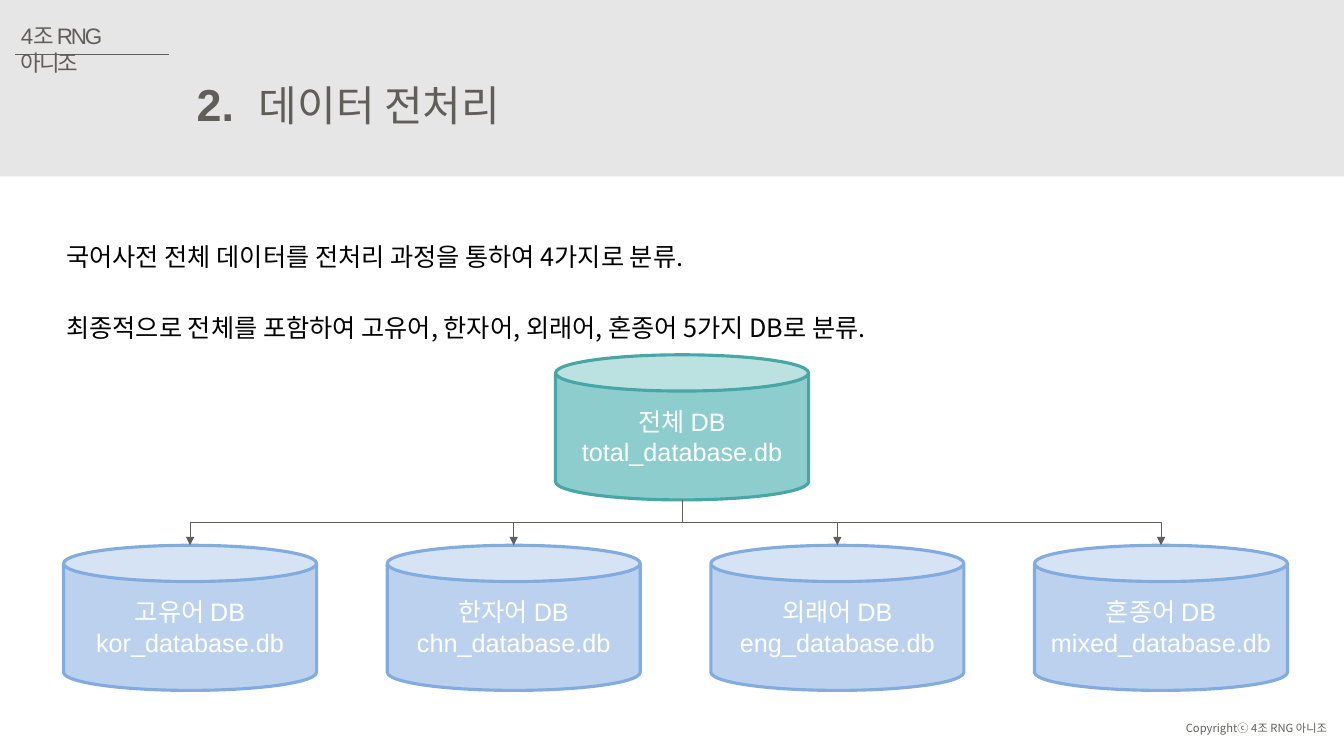
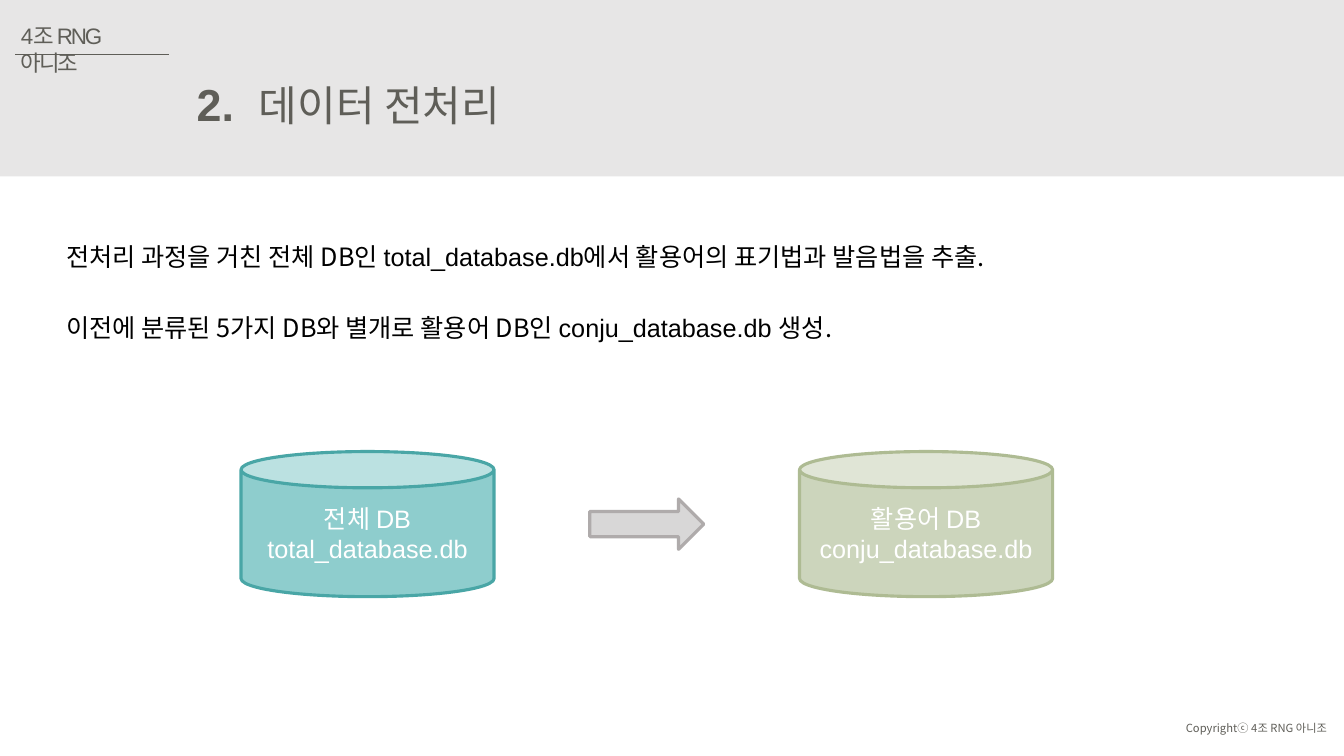
from dataclasses import dataclass

from lxml import etree
from pptx import Presentation
from pptx.dml.color import RGBColor
from pptx.enum import shapes, text
from pptx.oxml import ns
from pptx.util import Inches, Pt


@dataclass(frozen=True)
class Theme:
    sans: str = "Arial"
    korean: str = "Noto Sans CJK KR"
    ink: str = "5F5E58"
    black: str = "000000"
    white: str = "FFFFFF"
    band: str = "E7E6E6"
    # Fill and outline pairs
    teal: tuple = ("8ECDCD", "49A6A6")
    blue: tuple = ("BBD1ED", "82ABDF")
    olive: tuple = ("CCD5BC", "AEBB93")
    grey: tuple = ("D8D7D7", "AFABAB")
    footer_size: float = 8
    team_size: float = 16
    body_size: float = 18
    title_size: float = 30
    number_size: float = 32
    outline: float = 2.25
    hairline: float = 0.5


THEME = Theme()
SLIDE_WIDTH, SLIDE_HEIGHT = 13.33, 7.5
CAN_WIDTH, CAN_HEIGHT = 2.51, 1.44
TEAM = "4조 RNG 아니조"
ALIGN = text.PP_ALIGN


def format_run(run, size, font, color, bold=False, spacing=None):
    run.font.size = Pt(size)
    run.font.name = font
    run.font.bold = bold
    run.font.color.rgb = RGBColor.from_string(color)
    properties = run.font._element
    east_asian = etree.SubElement(properties, ns.qn("a:ea"))
    east_asian.set("typeface", THEME.korean)
    if spacing is not None:
        properties.set("spc", str(round(spacing * 100)))


def add_text(slide, box, content, size, font, align=ALIGN.LEFT, **style):
    shape = slide.shapes.add_textbox(*map(Inches, box))
    shape.text_frame.word_wrap = True
    shape.text_frame.text = content
    paragraph = shape.text_frame.paragraphs[0]
    paragraph.alignment = align
    format_run(paragraph.runs[0], size, font, THEME.ink, **style)


def add_block(slide, kind, box, fill, line=None):
    shape = slide.shapes.add_shape(kind, *map(Inches, box))
    shape.shadow.inherit = False
    shape.fill.solid()
    shape.fill.fore_color.rgb = RGBColor.from_string(fill)
    if line:
        shape.line.color.rgb = RGBColor.from_string(line)
        shape.line.width = Pt(THEME.outline)
    else:
        shape.line.fill.background()
    return shape


def add_line(slide, kind, begin, end):
    line = slide.shapes.add_connector(kind, *map(Inches, (*begin, *end)))
    line.line.color.rgb = RGBColor.from_string(THEME.ink)
    line.line.width = Pt(THEME.hairline)
    etree.SubElement(line.element.spPr, ns.qn("a:effectLst"))
    return line


def add_branch(slide, begin, end):
    """Draw an elbow arrow that leaves and arrives vertically."""
    (x1, y1), (x2, y2) = begin, end
    middle_x, middle_y = (x1 + x2) / 2, (y1 + y2) / 2
    half_run, half_drop = abs(x2 - x1) / 2, (y2 - y1) / 2
    # The elbow is drawn lying on its side, then turned about its centre
    side, degrees = (1, 270) if x2 > x1 else (-1, 90)
    branch = add_line(
        slide, shapes.MSO_CONNECTOR.ELBOW,
        (middle_x + side * half_drop, middle_y - half_run),
        (middle_x - side * half_drop, middle_y + half_run))
    branch.element.spPr.find(ns.qn("a:xfrm")).set("rot", str(degrees * 60000))
    outline = branch.element.spPr.find(ns.qn("a:ln"))
    etree.SubElement(outline, ns.qn("a:tailEnd")).set("type", "triangle")


def add_database(slide, left, top, name, file_name, colors):
    can = add_block(slide, shapes.MSO_SHAPE.CAN,
                    (left, top, CAN_WIDTH, CAN_HEIGHT), *colors)
    frame = can.text_frame
    frame.word_wrap = True
    frame.vertical_anchor = text.MSO_ANCHOR.MIDDLE
    frame.text = f"{name}\n{file_name}"
    for paragraph in frame.paragraphs:
        paragraph.alignment = ALIGN.CENTER
        format_run(paragraph.runs[0], THEME.body_size, THEME.sans, THEME.white)


def add_header(slide, number, title):
    add_block(slide, shapes.MSO_SHAPE.RECTANGLE,
              (0, -0.04, SLIDE_WIDTH, 1.79), THEME.band)
    add_text(slide, (0.11, 0.17, 1.57, 0.37), TEAM, THEME.team_size,
             THEME.sans, spacing=-1.5)
    add_line(slide, shapes.MSO_CONNECTOR.STRAIGHT, (0.15, 0.54), (1.68, 0.54))
    add_text(slide, (1.84, 0.71, 0.58, 0.64), number, THEME.number_size,
             THEME.sans, ALIGN.RIGHT, bold=True)
    add_text(slide, (2.47, 0.74, 3, 0.61), title, THEME.title_size,
             THEME.korean)


def add_footer(slide):
    add_text(slide, (11.65, 7.11, 1.61, 0.24), f"Copyrightⓒ {TEAM}",
             THEME.footer_size, THEME.korean, ALIGN.RIGHT)


def add_body(slide, box, lines):
    """Write one paragraph per line; a line is a list of (text, font) pairs."""
    frame = slide.shapes.add_textbox(*map(Inches, box)).text_frame
    frame.word_wrap = True
    for index, pieces in enumerate(lines):
        paragraph = frame.add_paragraph() if index else frame.paragraphs[0]
        paragraph.alignment = ALIGN.JUSTIFY
        paragraph.line_spacing = 2.0
        paragraph.space_after = Pt(8)
        for content, font in pieces:
            run = paragraph.add_run()
            run.text = content
            format_run(run, THEME.body_size, font, THEME.black)


def add_content_slide(presentation, lines):
    slide = presentation.slides.add_slide(presentation.slide_layouts[6])
    add_header(slide, "2.", "데이터 전처리")
    add_body(slide, (0.56, 2.04, 10.4, 1.33), lines)
    add_footer(slide)
    return slide


def add_database_tree(slide, left, top, root_left, children):
    """Place the whole database above a row of its parts."""
    pitch, drop = 3.21, 0.45
    row_top = top + CAN_HEIGHT + drop
    add_database(slide, root_left, top, "전체 DB", "total_database.db",
                 THEME.teal)
    root_foot = (root_left + CAN_WIDTH / 2, top + CAN_HEIGHT)
    for index, (name, file_name) in enumerate(children):
        child_left = left + index * pitch
        add_database(slide, child_left, row_top, name, file_name, THEME.blue)
        add_branch(slide, root_foot, (child_left + CAN_WIDTH / 2, row_top))


def add_extraction(slide, left, top):
    """Place the whole database, an arrow and the database made from it."""
    arrow_width, arrow_height = 1.13, 0.5
    add_database(slide, left, top, "전체 DB", "total_database.db", THEME.teal)
    add_block(slide, shapes.MSO_SHAPE.RIGHT_ARROW,
              (left + 3.46, top + (CAN_HEIGHT - arrow_height) / 2,
               arrow_width, arrow_height), *THEME.grey)
    add_database(slide, left + 5.54, top, "활용어 DB", "conju_database.db",
                 THEME.olive)


def main():
    presentation = Presentation()
    presentation.slide_width = Inches(SLIDE_WIDTH)
    presentation.slide_height = Inches(SLIDE_HEIGHT)

    classification = add_content_slide(presentation, [
        [("국어사전 전체 데이터를 전처리 과정을 통하여 4가지로 분류.",
          THEME.korean)],
        [("최종적으로 전체를 포함하여 고유어, 한자어, 외래어, 혼종어 "
          "5가지 DB로 분류.", THEME.korean)],
    ])
    add_database_tree(classification, 0.63, 3.52, 5.51, [
        ("고유어 DB", "kor_database.db"),
        ("한자어 DB", "chn_database.db"),
        ("외래어 DB", "eng_database.db"),
        ("혼종어 DB", "mixed_database.db"),
    ])

    conjugation = add_content_slide(presentation, [
        [("전처리 과정을 거친 전체 DB인 ", THEME.korean),
         ("total_database.db", THEME.sans),
         ("에서 활용어의 표기법과 발음법을 추출.", THEME.korean)],
        [("이전에 분류된 5가지 DB와 별개로 활용어 DB인 ", THEME.korean),
         ("conju_database.db ", THEME.sans),
         ("생성.", THEME.korean)],
    ])
    add_extraction(conjugation, 2.39, 4.48)

    presentation.save("out.pptx")


if __name__ == "__main__":
    main()
